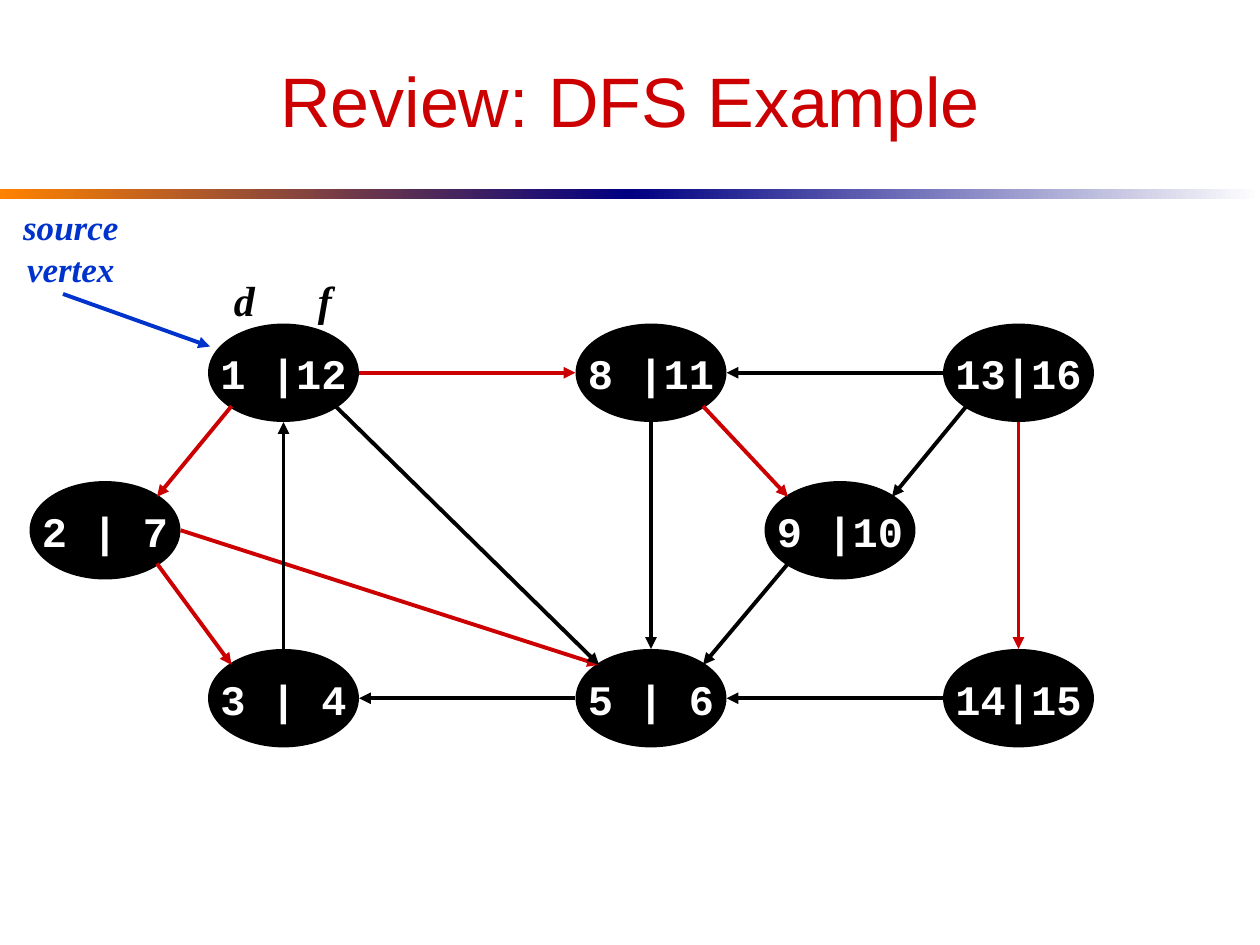
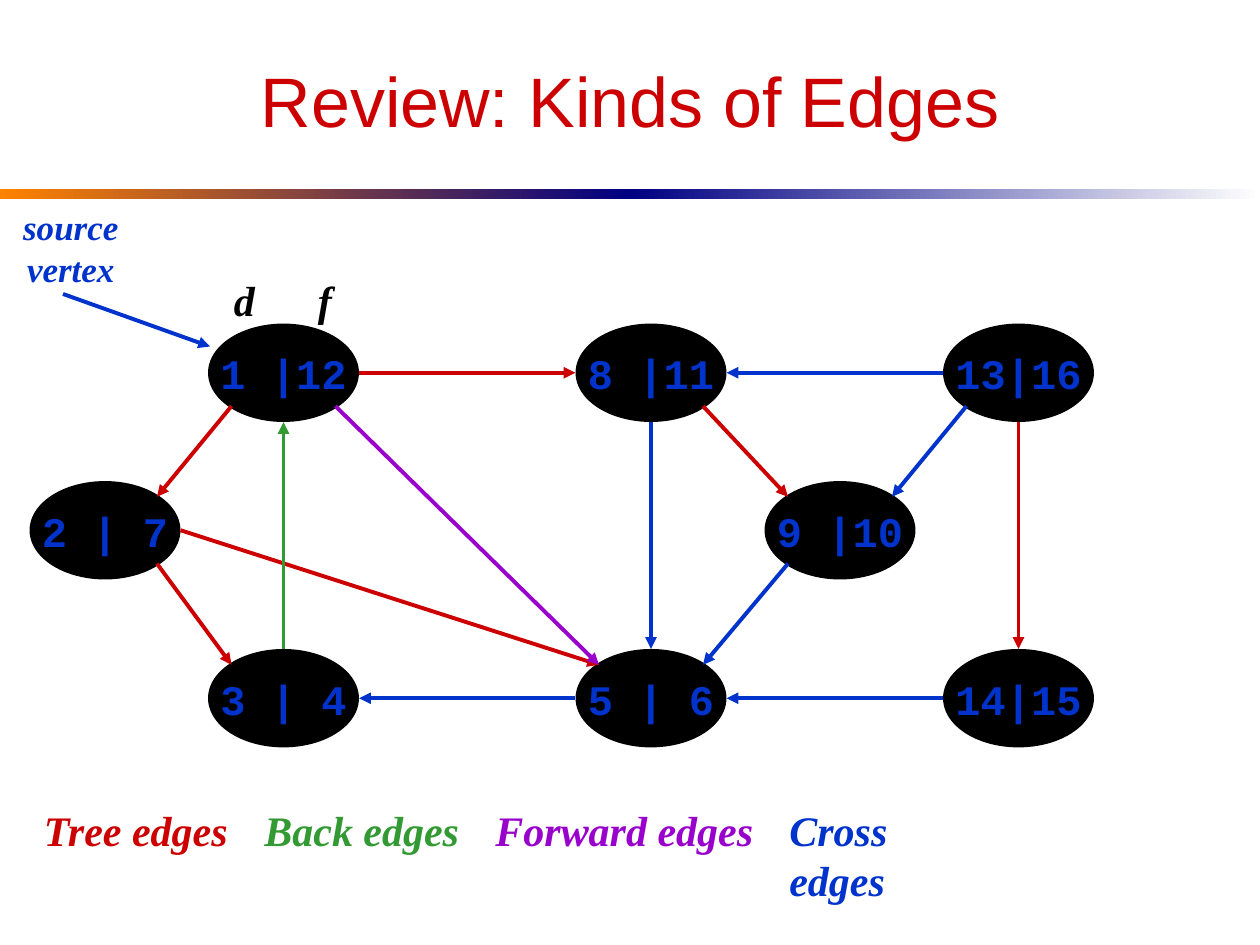
from collections import namedtuple
from math import sqrt

from lxml import etree
from pptx import Presentation
from pptx.dml.color import RGBColor
from pptx.enum.shapes import MSO_CONNECTOR, MSO_SHAPE
from pptx.enum.text import MSO_ANCHOR, PP_ALIGN
from pptx.oxml.ns import qn
from pptx.util import Emu, Pt

STRAIGHT = MSO_CONNECTOR.STRAIGHT
RECTANGLE, OVAL = MSO_SHAPE.RECTANGLE, MSO_SHAPE.OVAL
TOP, MIDDLE = MSO_ANCHOR.TOP, MSO_ANCHOR.MIDDLE
LEFT, CENTER = PP_ALIGN.LEFT, PP_ALIGN.CENTER

RED = RGBColor(0xCC, 0x00, 0x00)
GREEN = RGBColor(0x33, 0x99, 0x33)
PURPLE = RGBColor(0x99, 0x00, 0xCC)
BLUE = RGBColor(0x00, 0x33, 0xCC)
NAVY = RGBColor(0x00, 0x00, 0x82)
ORANGE = RGBColor(0xFF, 0x82, 0x00)
BLACK = RGBColor(0x00, 0x00, 0x00)
WHITE = RGBColor(0xFF, 0xFF, 0xFF)

EMU_PER_PX = 7620
Box = namedtuple("Box", "left top width height")
PAGE = Box(0, 0, 1200, 900)
TITLE_BOX = Box(60, 30, 1080, 130)
BAND_BOX = Box(0, 180, 1200, 10)
CALLOUT_BOX = Box(10, 190, 320, 140)
GRAPH_BOX = Box(30, 310, 1010, 400)
LEGEND_BOX = Box(30, 760, 930, 60)

TITLE_FONT = {"name": "Arial", "size": Pt(40), "bold": False}
NODE_FONT = {"name": "Courier New", "size": Pt(24), "bold": True}
LABEL_FONT = {"name": "Times New Roman", "size": Pt(24), "bold": True, "italic": True}
SOURCE_FONT = {**LABEL_FONT, "size": Pt(20)}

NODE_WIDTH, NODE_HEIGHT, SIDE_GAP = 140, 90, 2
NODES = {
    1: (170, 0, "1 |12"),
    8: (520, 0, "8 |11"),
    13: (870, 0, "13|16"),
    14: (870, 310, "14|15"),
    5: (520, 310, "5 | 6"),
    3: (170, 310, "3 | 4"),
    2: (0, 150, "2 | 7"),
    9: (700, 150, "9 |10"),
}
SIDES = {"n": (0, -1), "s": (0, 1), "w": (-1, 0), "e": (1, 0),
         "nw": (-1, -1), "ne": (1, -1), "sw": (-1, 1), "se": (1, 1)}
EDGES = [
    (1, "sw", 2, "ne", "tree"),
    (2, "se", 3, "nw", "tree"),
    (2, "e", 5, "nw", "tree"),
    (5, "w", 3, "e", "cross"),
    (3, "n", 1, "s", "back"),
    (8, "s", 5, "n", "cross"),
    (1, "e", 8, "w", "tree"),
    (13, "w", 8, "e", "cross"),
    (8, "se", 9, "nw", "tree"),
    (13, "sw", 9, "ne", "cross"),
    (13, "s", 14, "n", "tree"),
    (14, "w", 5, "e", "cross"),
    (9, "sw", 5, "ne", "cross"),
    (1, "se", 5, "nw", "forward"),
]
PLAIN_EDGES = {"tree": RED, "back": BLACK, "forward": BLACK, "cross": BLACK}
KIND_EDGES = {"tree": RED, "back": GREEN, "forward": PURPLE, "cross": BLUE}
LEGEND = [("Tree edges", "tree", 200), ("Back edges", "back", 210),
          ("Forward edges", "forward", 270), ("Cross edges", "cross", 218)]
LEGEND_GAP = 10


def px(length):
    """Turn a length in px into EMU."""
    return Emu(round(length * EMU_PER_PX))


def emu_box(box):
    """Return the four EMU lengths of a box."""
    return [px(length) for length in box]


def write(shape, text, font, color, align=CENTER, anchor=MIDDLE, wrap=False):
    """Put one formatted paragraph into a shape and return it."""
    frame = shape.text_frame
    frame.word_wrap, frame.vertical_anchor = wrap, anchor
    para = frame.paragraphs[0]
    para.text, para.alignment = text, align
    for span in para.runs:
        for name, value in font.items():
            setattr(span.font, name, value)
        span.font.color.rgb = color
    return para


def add_label(page, box, text, font, color, **layout):
    """Add a text box holding one label and return its paragraph."""
    label = page.shapes.add_textbox(*emu_box(box))
    return write(label, text, font, color, **layout)


def add_arrow(page, start, end, color):
    """Draw a straight arrow between two points."""
    points = [px(value) for value in (*start, *end)]
    arrow = page.shapes.add_connector(STRAIGHT, *points)
    arrow.line.color.rgb, arrow.line.width = color, Pt(2.25)
    properties = arrow._element.spPr
    etree.SubElement(properties.find(qn("a:ln")), qn("a:tailEnd"), type="triangle")
    etree.SubElement(properties, qn("a:effectLst"))


def add_title(page, box, text):
    """Place and format the title placeholder."""
    title = page.shapes.title
    title.left, title.top, title.width, title.height = emu_box(box)
    write(title, text, TITLE_FONT, RED, wrap=True)


def add_band(page, box):
    """Draw the two gradient halves below the title."""
    half = box.width // 2
    for index, colors in enumerate([(ORANGE, NAVY), (NAVY, WHITE)]):
        part = box._replace(left=box.left + index * half, width=half)
        band = page.shapes.add_shape(RECTANGLE, *emu_box(part))
        band.shadow.inherit = False
        band.line.fill.background()
        band.fill.gradient()
        band.fill.gradient_angle = 0
        for stop, color in zip(band.fill.gradient_stops, colors):
            stop.color.rgb = color


def add_callout(page, box):
    """Mark the source vertex and the two numbers inside it."""
    add_label(page, Box(box.left, box.top, 115, 92), "source\vvertex",
              SOURCE_FONT, BLUE, anchor=TOP)
    add_arrow(page, (box.left + 50, box.top + 90),
              (box.left + 190, box.top + box.height), BLUE)
    para = add_label(page, Box(box.left + 201, box.top + 50, 120, 90), "d\tf",
                     LABEL_FONT, BLACK, align=LEFT, wrap=True)
    tabs = etree.SubElement(para._p.get_or_add_pPr(), qn("a:tabLst"))
    etree.SubElement(tabs, qn("a:tab"), pos=str(px(80)), algn="l")


def node_site(box, key, side):
    """Return the point where an edge meets a node."""
    left, top, _ = NODES[key]
    across, down = SIDES[side]
    scale, gap = (sqrt(0.5), 0) if across and down else (1, SIDE_GAP)
    reach_x = NODE_WIDTH / 2 * scale + gap
    reach_y = NODE_HEIGHT / 2 * scale + gap
    return (box.left + left + NODE_WIDTH / 2 + across * reach_x,
            box.top + top + NODE_HEIGHT / 2 + down * reach_y)


def add_graph(page, box, number_color, edge_colors):
    """Draw the nodes and the edges that join them."""
    for left, top, text in NODES.values():
        place = Box(box.left + left, box.top + top, NODE_WIDTH, NODE_HEIGHT)
        node = page.shapes.add_shape(OVAL, *emu_box(place))
        node.shadow.inherit = False
        node.fill.solid()
        node.fill.fore_color.rgb = node.line.color.rgb = BLACK
        node.line.width = Pt(2.25)
        write(node, text, NODE_FONT, number_color)
    for start, start_side, end, end_side, kind in EDGES:
        add_arrow(page, node_site(box, start, start_side),
                  node_site(box, end, end_side), edge_colors[kind])


def add_legend(page, box):
    """Name the kinds of edges in a row, each in its colour."""
    left = box.left
    for text, kind, width in LEGEND:
        add_label(page, Box(left, box.top, width, box.height), text,
                  LABEL_FONT, KIND_EDGES[kind], align=LEFT, anchor=TOP)
        left += width + LEGEND_GAP


def add_graph_page(deck, title, number_color, edge_colors):
    """Add a slide with the title, band and annotated graph."""
    page = deck.slides.add_slide(deck.slide_layouts.get_by_name("Title Only"))
    add_band(page, BAND_BOX)
    add_title(page, TITLE_BOX, title)
    add_graph(page, GRAPH_BOX, number_color, edge_colors)
    add_callout(page, CALLOUT_BOX)
    return page


def main():
    """Build and save the deck."""
    deck = Presentation()
    deck.slide_width, deck.slide_height = px(PAGE.width), px(PAGE.height)
    add_graph_page(deck, "Review: DFS Example", WHITE, PLAIN_EDGES)
    page = add_graph_page(deck, "Review: Kinds of Edges", BLUE, KIND_EDGES)
    add_legend(page, LEGEND_BOX)
    deck.save("out.pptx")


if __name__ == "__main__":
    main()
